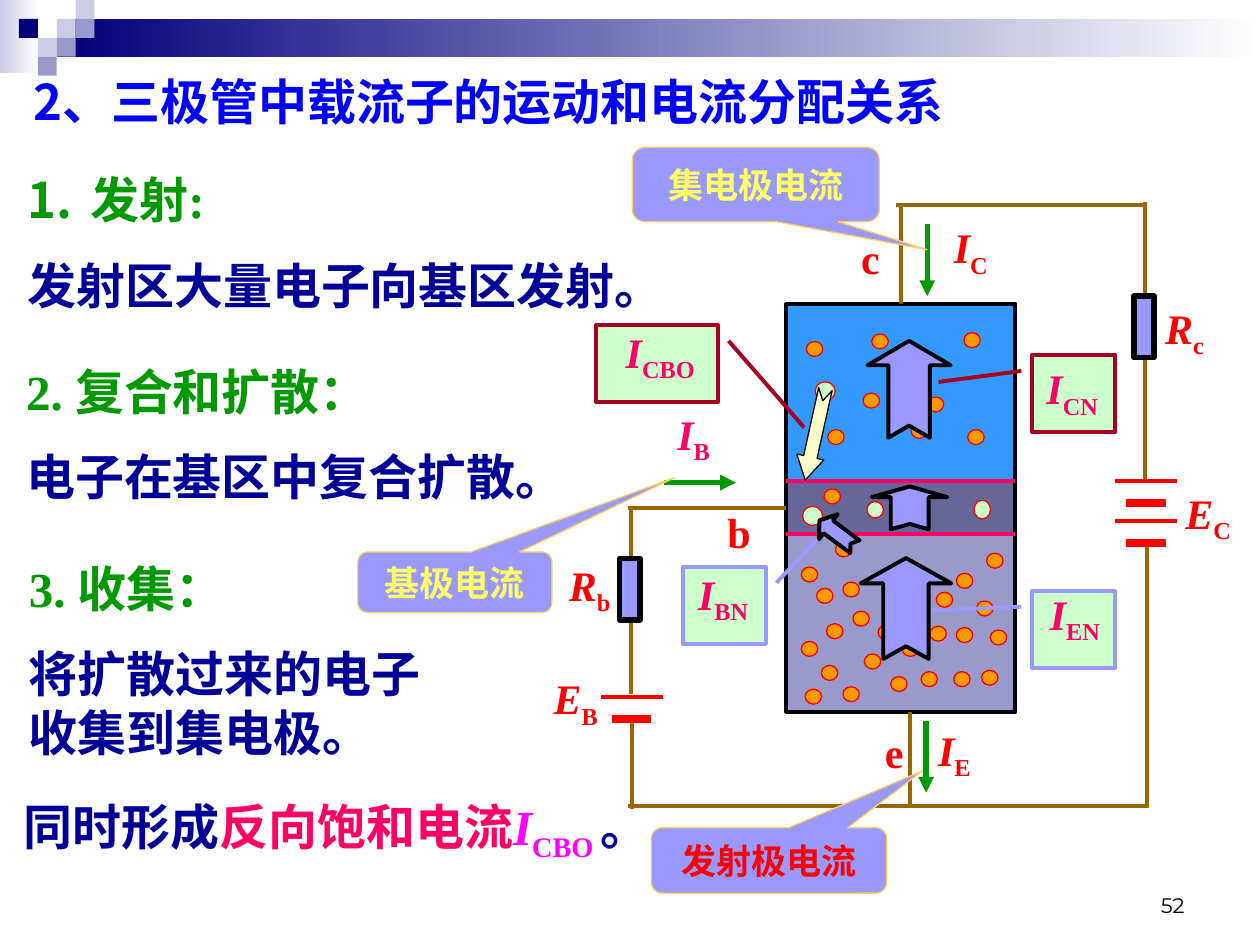
from dataclasses import dataclass

from lxml import etree
from pptx import Presentation
from pptx import util as u
from pptx.dml.color import RGBColor
from pptx.enum import shapes, text
from pptx.oxml import ns

Pt = u.Pt
MSO = shapes.MSO_SHAPE
ALIGN = text.PP_ALIGN


@dataclass(frozen=True)
class Theme:
    navy: str = "00007D"
    pale: str = "CCCCE6"
    mauve: str = "9999CC"
    base: str = "666699"
    sky: str = "3399FF"
    lilac: str = "9999FF"
    mint: str = "CCFFCC"
    cream: str = "FFFFCC"
    gold: str = "FFCC66"
    yellow: str = "FFFF66"
    orange: str = "FF9900"
    brown: str = "996600"
    maroon: str = "A50021"
    red: str = "FF0000"
    pink: str = "FF0066"
    magenta: str = "FF00FF"
    green: str = "009900"
    blue: str = "0000FF"
    ink: str = "000099"
    black: str = "000000"
    white: str = "FFFFFF"
    serif: str = "Times New Roman"
    cjk: str = "Noto Sans CJK SC"
    number: str = "Montserrat"
    body_size: int = 28
    label_size: int = 24
    callout_size: int = 20
    number_size: int = 12


T = Theme()

ELECTRONS = [
    (469.4, 380.2), (481.7, 392.4), (501.8, 357.1), (546.5, 358.6), (472.3, 356.4),
    (515.5, 366.5), (509, 386.6), (493.9, 373.7), (526.3, 383.8), (545, 383.8),
    (560.9, 383), (487.4, 349.2), (460.1, 393.8), (457.9, 366.5), (531.4, 357.8),
    (565.9, 360), (535, 338.4), (563.8, 316.1), (466.6, 336.2), (546.5, 327.6),
    (511.2, 329), (558, 343.4), (481.7, 332.6), (477.4, 309.6), (457.9, 324),
    (550.8, 190.1), (493.2, 224.6), (529.9, 226.8), (498.2, 190.8), (460.8, 195.1),
    (520.6, 241.9), (473, 245.5), (553, 245.5), (470.9, 279.4),
]
HOLES = [(458.6, 289.4, 11.5, 10.8), (495.4, 286.6, 9.4, 9.4),
         (556.6, 285.8, 9.4, 10.8), (465.8, 218.2, 11.5, 10.8)]


def rgb(color):
    return RGBColor.from_string(color)


def add_shape(s, kind, box, fill, line=None, width=0.75, adj=(), rotation=0):
    sp = s.shapes.add_shape(kind, *map(Pt, box))
    sp.shadow.inherit = False
    for i, value in enumerate(adj):
        sp.adjustments[i] = value
    sp.rotation = rotation
    if isinstance(fill, tuple):
        sp.fill.gradient()
        sp.fill.gradient_angle = 0
        for stop, color in zip(sp.fill.gradient_stops, fill):
            stop.color.rgb = rgb(color)
    else:
        sp.fill.solid()
        sp.fill.fore_color.rgb = rgb(fill)
    if line:
        sp.line.color.rgb = rgb(line)
        sp.line.width = Pt(width)
    else:
        sp.line.fill.background()
    return sp


def add_line(s, x1, y1, x2, y2, color=T.brown, width=2.25, arrow=False):
    line = s.shapes.add_connector(shapes.MSO_CONNECTOR.STRAIGHT, *map(Pt, (x1, y1, x2, y2)))
    line.line.color.rgb = rgb(color)
    line.line.width = Pt(width)
    if arrow:
        etree.SubElement(line.line._get_or_add_ln(), ns.qn("a:tailEnd"), type="triangle")
    etree.SubElement(line._element.spPr, ns.qn("a:effectLst"))
    return line


def style(font, size, color, name=T.serif, bold=True):
    font.size, font.name, font.bold = Pt(size), name, bold
    font.color.rgb = rgb(color)


def add_text(s, box, paragraphs, size=T.body_size, name=T.serif, align=None, bold=True):
    """Each paragraph is a list of (text, color, kind) runs; kind is '', 'i' or 'sub'."""
    tf = s.shapes.add_textbox(*map(Pt, box)).text_frame
    tf.word_wrap = True
    for i, runs in enumerate(paragraphs):
        p = tf.add_paragraph() if i else tf.paragraphs[0]
        if i:
            p.space_before = Pt(15)
        p.alignment = align
        style(p.font, size, runs[0][1], name, bold)
        for content, color, kind in runs:
            r = p.add_run()
            r.text = content
            style(r.font, size, color, name, bold)
            if kind == "i":
                r.font.italic = True
            if kind == "sub":
                r._r.get_or_add_rPr().set("baseline", "-25000")
    return tf


def add_symbol(s, x, y, w, letter, sub, color=T.red):
    add_text(s, (x, y, w, 36), [[(letter, color, "i"), (sub, color, "sub")]],
             T.label_size, align=ALIGN.CENTER)


def add_section(s, box, heading, body):
    return add_text(s, box, [[(heading, T.green, "")], [(body, T.ink, "")]])


def number_heading(tf):
    """Numbers the first paragraph and hangs both by half an inch."""
    for p in tf.paragraphs:
        pPr = p._p.get_or_add_pPr()
        pPr.set("marL", str(Pt(36)))
        pPr.set("indent", str(-Pt(36)))
    pPr = tf.paragraphs[0]._p.get_or_add_pPr()
    bullet = [etree.Element(ns.qn("a:buFont"), typeface=T.cjk),
              etree.Element(ns.qn("a:buAutoNum"), type="arabicPeriod")]
    for i, element in enumerate(bullet):
        pPr.insert(i, element)


def add_speech(s, box, adj, words, color):
    sp = add_shape(s, MSO.ROUNDED_RECTANGULAR_CALLOUT, box, T.lilac, T.gold, adj=(*adj, 0.167))
    tf = sp.text_frame
    tf.word_wrap = True
    tf.vertical_anchor = text.MSO_ANCHOR.MIDDLE
    p = tf.paragraphs[0]
    p.text = words
    p.alignment = ALIGN.CENTER
    style(p.font, T.callout_size, color)


def add_tag(s, box, adj, line):
    add_shape(s, MSO.LINE_CALLOUT_1, box, T.mint, line, 2.25, adj)


def add_flow(s, box, head, rotation=270, fill=T.lilac, width=2.25):
    add_shape(s, MSO.NOTCHED_RIGHT_ARROW, box, fill, T.black, width, (0.5, head), rotation)


def add_cell(s, x, y):
    """Battery cell: a thin long plate over a thick short one, centred on x."""
    add_line(s, x - 17.8, y, x + 17.8, y, T.red)
    add_line(s, x - 11.2, y + 12.6, x + 11.2, y + 12.6, T.red, 4.5)


def add_banner(s):
    add_shape(s, MSO.RECTANGLE, (0, 0, 22.3, 41.8), (T.pale, T.white))
    add_shape(s, MSO.RECTANGLE, (32.4, 10.8, 687.6, 21.6), (T.navy, T.white))
    side = 10.8
    for col, row, color in [(3, 1, T.pale), (4, 0, T.pale), (4, 1, T.mauve), (2, 2, T.pale),
                            (1, 1, T.navy), (3, 2, T.mauve), (2, 3, T.mauve)]:
        add_shape(s, MSO.RECTANGLE, (col * side, row * side, side, side), color)


def add_circuit(s):
    add_line(s, 360.7, 289.4, 360.7, 396.7)
    collector, base, _ = [
        add_shape(s, MSO.RECTANGLE, (449.3, y, 131, h), fill, T.black, 2.25)
        for y, h, fill in [(173.5, 101.5, T.sky), (275, 30.2, T.base), (305.2, 101.5, T.mauve)]]
    for y in (305.2, 275):
        add_line(s, 449.3, y, 580.3, y, T.pink)
    for wire in [(511.9, 117.4, 653.8, 117.4), (654.5, 115.2, 654.5, 274.3),
                 (519.8, 406.8, 519.8, 461.5), (655.2, 311.8, 655.2, 461.5),
                 (358.6, 460.8, 656.6, 460.8), (361.4, 413.3, 361.4, 462.2)]:
        add_line(s, *wire)
    add_line(s, 514.8, 118.1, 514.8, 173.5).end_connect(collector, 0)
    add_line(s, 358.6, 290.1, 449.3, 290.1).end_connect(base, 1)
    for x, y in [(354.2, 319), (648, 169.2)]:
        add_shape(s, MSO.RECTANGLE, (x, y, 11.5, 35.3), T.lilac, T.black, 3)
    for x, y in [(361, 398.2), (654.9, 275), (654.9, 297.5)]:
        add_cell(s, x, y)
    for x, y in ELECTRONS:
        add_shape(s, MSO.OVAL, (x, y, 9.4, 8.6), T.orange, T.red)
    for box in HOLES:
        add_shape(s, MSO.OVAL, box, T.mint, T.red)
    for x, y, letter, sub in [(310.3, 316.1, "R", "b"), (650.2, 169.2, "R", "c"),
                              (302.4, 380.9, "E", "B"), (663.8, 275, "E", "C")]:
        add_symbol(s, x, y, 53.3, letter, sub)
    for x, y, name in [(498.6, 411.8, "e"), (485, 129.6, "c"), (408.6, 285.8, "b")]:
        add_text(s, (x, y, 28, 36), [[(name, T.red, "")]], T.label_size)


def add_explanation(s):
    add_text(s, (12.2, 37.4, 688.3, 41), [[("2、三极管中载流子的运动和电流分配关系", T.blue, "")]],
             name=T.cjk)
    number_heading(add_section(s, (8.6, 93.6, 392.4, 91.4), "发射:", "发射区大量电子向基区发射。"))
    add_section(s, (7.9, 203, 335.5, 91.4), "2. 复合和扩散：", "电子在基区中复合扩散。")
    add_section(s, (9.4, 315.4, 247.7, 125.3), "3. 收集：", "将扩散过来的电子收集到集电极。")
    add_text(s, (6.5, 451.4, 387.4, 41), [[
        ("同时形成", T.ink, ""), ("反向饱和电流", T.pink, ""), ("I", T.magenta, "i"),
        ("CBO ", T.magenta, "sub"), ("。", T.ink, "")]])


def add_currents(s):
    for x1, y1, x2, y2 in [(529.9, 128.2, 529.9, 169.2), (379.4, 275.8, 420.5, 275.8),
                           (529.2, 411.8, 529.2, 452.9)]:
        add_line(s, x1, y1, x2, y2, T.green, 3, arrow=True)
    add_flow(s, (488.9, 321.8, 57.6, 51.8), 0.279)
    add_flow(s, (507.6, 268.6, 24.5, 43.2), 0.25)
    add_flow(s, (491.8, 198.7, 55.4, 47.5), 0.293)
    add_flow(s, (465.8, 295.9, 25.2, 18), 0.346, 216.7)
    add_flow(s, (439.2, 240.5, 53.3, 15.8), 0.859, 102.5, T.cream, 0.75)
    add_tag(s, (390.2, 324, 47.5, 43.9), (0.205, 1.127, -0.359, 1.617), T.lilac)
    add_tag(s, (589.7, 337.7, 47.5, 43.9), (0.205, -0.127, 0.256, -1.211), T.lilac)
    add_tag(s, (340.6, 185.8, 69.8, 43.9), (0.205, 1.086, 1.333, 1.705), T.maroon)
    for x, y, w, sub, color in [
            (515.5, 410.4, 59.8, "E", T.red), (524.9, 123.1, 59.8, "C", T.red),
            (366.5, 229.7, 59.8, "B", T.pink), (583.9, 203.8, 57.6, "CN", T.pink),
            (585.4, 332.6, 57.6, "EN", T.pink), (384.5, 321.1, 57.6, "BN", T.pink),
            (341.3, 182.9, 72, "CBO", T.pink)]:
        add_symbol(s, x, y, w, "I", sub, color)
    add_speech(s, (361.4, 84.2, 141.1, 42.5), (0.693, 0.875), "集电极电流", T.yellow)
    add_speech(s, (204.5, 315.4, 110.9, 34.6), (1.13, -1.725), "基极电流", T.yellow)


def main():
    prs = Presentation()
    prs.slide_width, prs.slide_height = Pt(720), Pt(540)
    s = prs.slides.add_slide(prs.slide_layouts[6])
    add_banner(s)
    tf = add_text(s, (516.2, 491.8, 167.8, 36), [[("52", T.black, "")]], T.number_size,
                  T.number, ALIGN.RIGHT, bold=False)
    tf.vertical_anchor = text.MSO_ANCHOR.BOTTOM
    add_circuit(s)
    add_tag(s, (589.7, 203, 47.5, 43.9), (0.205, -0.127, 0.348, -1.124), T.maroon)
    add_speech(s, (372.2, 473, 134.6, 37.4), (0.651, -1.368), "发射极电流", T.red)
    add_explanation(s)
    add_currents(s)
    prs.save("out.pptx")


if __name__ == "__main__":
    main()
